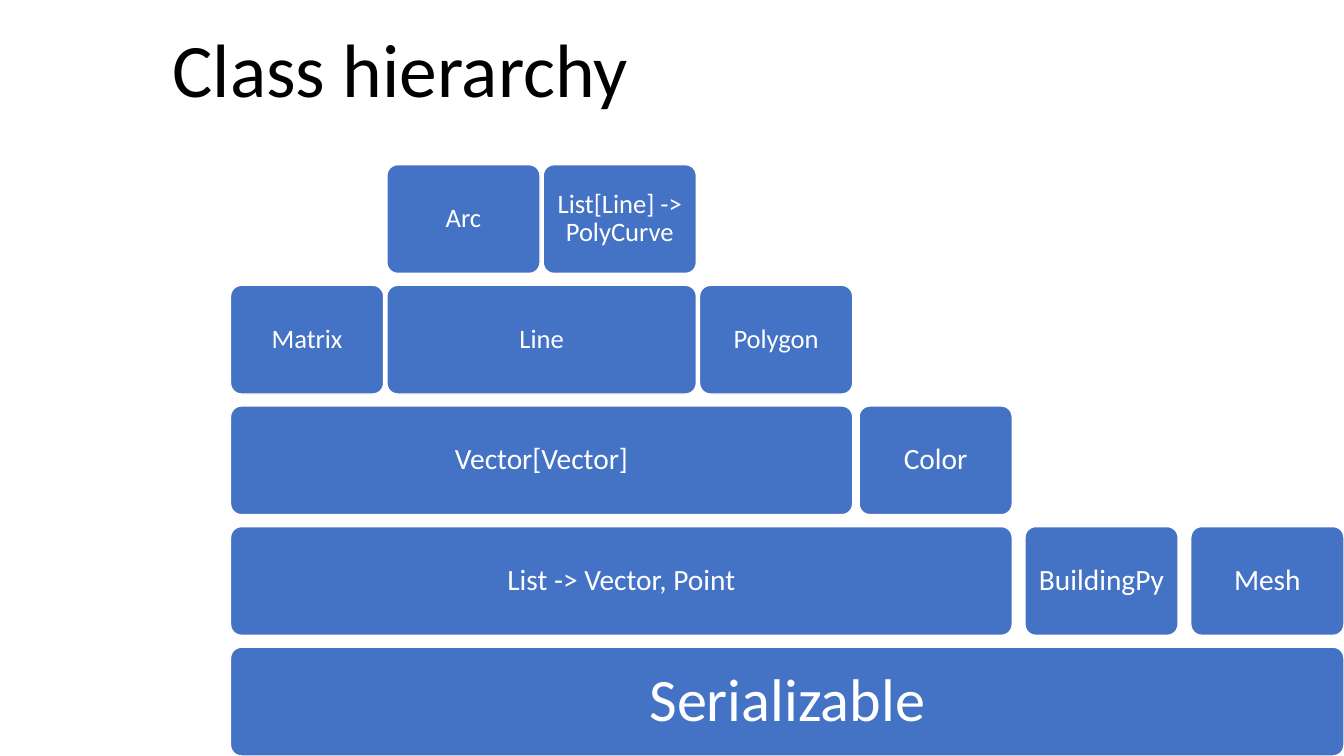
from pptx import Presentation
from pptx.dml.color import RGBColor
from pptx.enum.shapes import MSO_SHAPE
from pptx.enum.text import MSO_ANCHOR, MSO_AUTO_SIZE, PP_ALIGN
from pptx.util import Cm, Pt

FONT = "Calibri"
LEAF = 3.86
HIGH = 2.74
PITCH = 3.04
SIZES = [43, 21, 21, 19, 19]
PADS = [0.46, 0.23, 0.23, 0.2, 0.2]
GAPS = [0.32, 0.16, 0.08, 0.08]

TREE = ("Serializable", [
    ("List -> Vector, Point", [
        ("Vector[Vector]", [
            ("Matrix", []),
            ("Line", [("Arc", []), ("List[Line] -> PolyCurve", [])]),
            ("Polygon", []),
        ]),
        ("Color", []),
    ]),
    ("BuildingPy", []),
    ("Mesh", []),
])


def color(code):
    return RGBColor.from_string(code)


def style(para, size, code):
    for run in para.runs:
        run.font.name = FONT
        run.font.size = Pt(size)
        run.font.color.rgb = color(code)


def add_title(slide, left, top, width, height, text):
    box = slide.shapes.add_textbox(Cm(left), Cm(top), Cm(width), Cm(height))
    frame = box.text_frame
    frame.text = text
    frame.word_wrap = False
    frame.auto_size = MSO_AUTO_SIZE.SHAPE_TO_FIT_TEXT
    style(frame.paragraphs[0], 54, "000000")


def add_block(slide, left, top, width, text, level):
    block = slide.shapes.add_shape(
        MSO_SHAPE.ROUNDED_RECTANGLE, Cm(left), Cm(top), Cm(width), Cm(HIGH))
    block.adjustments[0] = 0.1
    block.shadow.inherit = False
    block.fill.solid()
    block.fill.fore_color.rgb = color("4472C4")
    block.line.color.rgb = color("FFFFFF")
    block.line.width = Pt(1)
    frame = block.text_frame
    frame.text = text
    frame.word_wrap = True
    frame.vertical_anchor = MSO_ANCHOR.MIDDLE
    pad = Cm(PADS[level])
    frame.margin_left = frame.margin_right = pad
    frame.margin_top = frame.margin_bottom = pad
    para = frame.paragraphs[0]
    para.alignment = PP_ALIGN.CENTER
    para.line_spacing = 0.9
    style(para, SIZES[level], "FFFFFF")


def span(node, level):
    kids = node[1]
    if not kids:
        return LEAF
    return sum(span(kid, level + 1) for kid in kids) + GAPS[level] * (len(kids) - 1)


def add_tree(slide, left, top, node, level=0):
    text, kids = node
    add_block(slide, left, top, span(node, level), text, level)
    for kid in kids:
        add_tree(slide, left, top - PITCH, kid, level + 1)
        left += span(kid, level + 1) + GAPS[level]


def main():
    deck = Presentation()
    deck.slide_width = Cm(33.87)
    deck.slide_height = Cm(19.05)
    slide = deck.slides.add_slide(deck.slide_layouts[6])
    add_tree(slide, 5.81, 16.31, TREE)
    add_title(slide, 4.1, 0.43, 12.12, 2.57, "Class hierarchy")
    deck.save("out.pptx")


if __name__ == "__main__":
    main()
